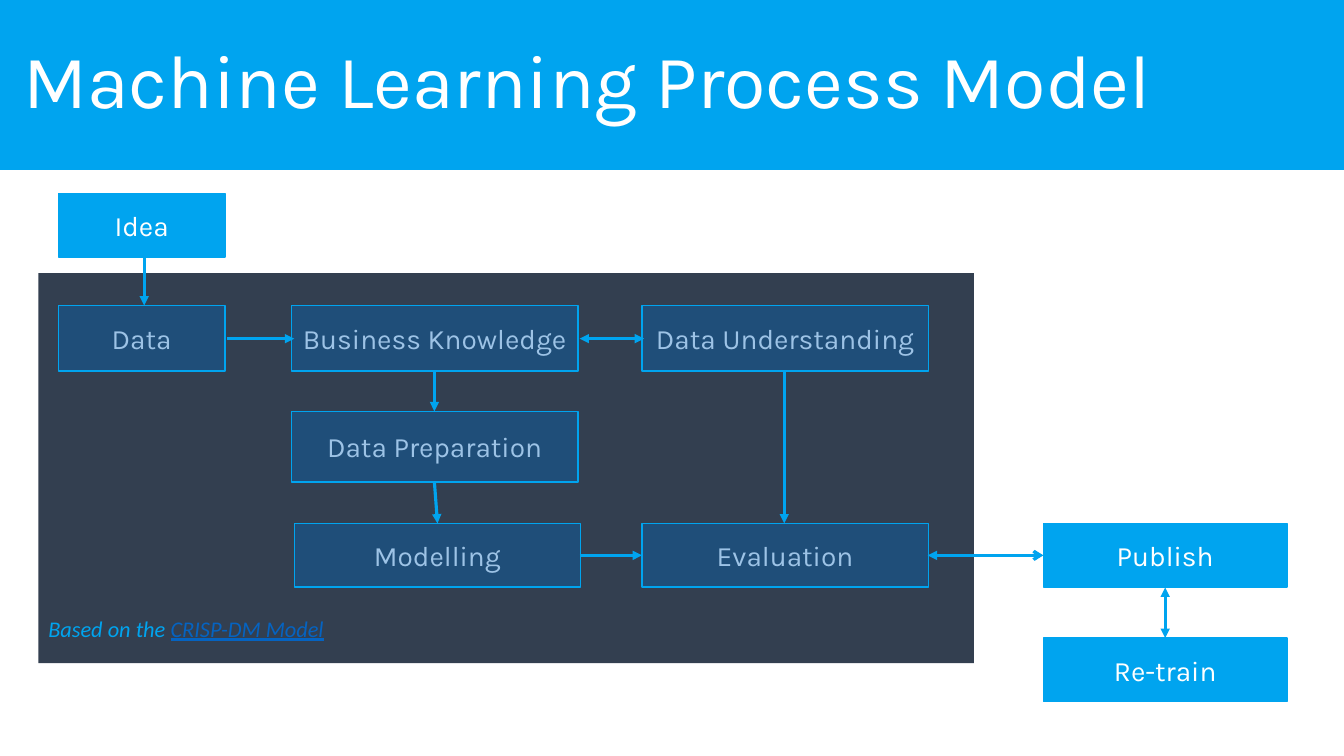
from dataclasses import dataclass

from lxml import etree
from pptx import Presentation
from pptx import util as u
from pptx.dml.color import RGBColor
from pptx.enum import shapes, text
from pptx.oxml import ns

BLUE, NAVY, SLATE = "00A4EF", "1F4E79", "333F50"
PALE, WHITE, LINK = "9DC3E6", "FFFFFF", "0563C1"

# Column left edges and widths, and row tops, in points
START, MIDDLE, RIGHT, OUTER = (41.8, 118.8), (208.3, 204.5), (458.6, 204.5), (745.2, 174.2)
MODELLING = (210.2, 204.5)
IDEA_TOP, DATA_TOP, PREPARATION_TOP, MODEL_TOP, RETRAIN_TOP = 138.2, 218.2, 293.8, 373.9, 455.8
LOW, TALL, TALLEST = 45.4, 46.8, 50.4
MODEL_Y, DATA_Y = 396.7, 241.9
START_X, MIDDLE_X, RIGHT_X, OUTER_X = 103, 310.3, 560.2, 832.3


@dataclass
class Step:
    label: str
    column: tuple[float, float]
    top: float
    height: float
    inside: bool = True


@dataclass
class Arrow:
    start: tuple[float, float]
    end: tuple[float, float]
    head: str = ""
    tail: str = "triangle"


STEPS = [
    Step("Idea", START, IDEA_TOP, LOW, inside=False),
    Step("Data", START, DATA_TOP, TALL),
    Step("Business Knowledge", MIDDLE, DATA_TOP, TALL),
    Step("Data Understanding", RIGHT, DATA_TOP, TALL),
    Step("Data Preparation", MIDDLE, PREPARATION_TOP, TALLEST),
    Step("Modelling", MODELLING, MODEL_TOP, LOW),
    Step("Evaluation", RIGHT, MODEL_TOP, LOW),
    Step("Publish", OUTER, MODEL_TOP, LOW, inside=False),
    Step("Re-train", OUTER, RETRAIN_TOP, LOW, inside=False),
]

ARROWS = [
    Arrow((START_X, 183.6), (START_X, DATA_TOP)),
    Arrow((162, DATA_Y), (210.2, DATA_Y)),
    Arrow((460.1, DATA_Y), (414, DATA_Y), head="triangle"),
    Arrow((MIDDLE_X, 265.3), (MIDDLE_X, PREPARATION_TOP)),
    Arrow((MIDDLE_X, 344.2), (312.5, MODEL_TOP)),
    Arrow((RIGHT_X, 265.3), (RIGHT_X, MODEL_TOP)),
    Arrow((414, MODEL_Y), (458.6, MODEL_Y)),
    Arrow((730.8, MODEL_Y), (745.2, MODEL_Y), tail="arrow"),
    Arrow((662.6, MODEL_Y), (745.2, MODEL_Y), head="triangle"),
    Arrow((OUTER_X, RETRAIN_TOP), (OUTER_X, 419.6), head="triangle"),
]


def color(value: str) -> RGBColor:
    return RGBColor.from_string(value)


def add_run(paragraph, content: str, ink: str, **font_values) -> None:
    run = paragraph.add_run()
    run.text = content
    run.font.color.rgb = color(ink)
    for name, value in font_values.items():
        setattr(run.font, name, value)


def add_rectangle(slide, left: float, top: float, width: float, height: float,
                  fill: str, outline: str):
    shape = slide.shapes.add_shape(
        shapes.MSO_SHAPE.RECTANGLE, u.Pt(left), u.Pt(top), u.Pt(width), u.Pt(height))
    shape.shadow.inherit = False
    shape.fill.solid()
    shape.fill.fore_color.rgb = color(fill)
    if outline:
        shape.line.color.rgb = color(outline)
        shape.line.width = u.Pt(1)
    else:
        shape.line.fill.background()
    return shape


def add_step(slide, step: Step) -> None:
    left, width = step.column
    fill, ink = (NAVY, PALE) if step.inside else (BLUE, WHITE)
    shape = add_rectangle(slide, left, step.top, width, step.height, fill, BLUE)
    frame = shape.text_frame
    frame.word_wrap = True
    frame.vertical_anchor = text.MSO_ANCHOR.MIDDLE
    paragraph = frame.paragraphs[0]
    paragraph.alignment = text.PP_ALIGN.CENTER
    add_run(paragraph, step.label, ink, name="Karla", size=u.Pt(20))


def add_arrow(slide, arrow: Arrow) -> None:
    points = [u.Pt(value) for value in (*arrow.start, *arrow.end)]
    connector = slide.shapes.add_connector(shapes.MSO_CONNECTOR.STRAIGHT, *points)
    connector.line.color.rgb = color(BLUE)
    connector.line.width = u.Pt(2.25)
    line = connector.line._get_or_add_ln()
    for tag, kind in (("a:headEnd", arrow.head), ("a:tailEnd", arrow.tail)):
        if kind:
            etree.SubElement(line, ns.qn(tag), type=kind)
    etree.SubElement(connector._element.spPr, ns.qn("a:effectLst"))


def add_text_box(slide, left: float, top: float, width: float, height: float):
    box = slide.shapes.add_textbox(u.Pt(left), u.Pt(top), u.Pt(width), u.Pt(height))
    box.text_frame.word_wrap = True
    return box.text_frame


def main() -> None:
    presentation = Presentation()
    presentation.slide_width, presentation.slide_height = u.Pt(960), u.Pt(540)
    slide = presentation.slides.add_slide(presentation.slide_layouts[6])

    add_rectangle(slide, 27.4, 195.1, 668.2, 278.6, SLATE, "")
    for step in STEPS:
        add_step(slide, step)

    add_rectangle(slide, 0, 0, 960, 121, BLUE, BLUE)
    title = add_text_box(slide, 9.4, 7.9, 828, 104.4)
    title.vertical_anchor = text.MSO_ANCHOR.MIDDLE
    title.paragraphs[0].line_spacing = 0.9
    add_run(title.paragraphs[0], "Machine Learning Process Model", WHITE,
            name="Karla", size=u.Pt(54))

    for arrow in ARROWS:
        add_arrow(slide, arrow)

    credit = add_text_box(slide, 27.4, 435.6, 217.4, 26.6).paragraphs[0]
    credit_font = {"name": "Calibri", "size": u.Pt(16), "italic": True}
    add_run(credit, "Based on the ", BLUE, **credit_font)
    add_run(credit, "CRISP-DM Model", LINK, underline=True, **credit_font)

    presentation.save("out.pptx")


if __name__ == "__main__":
    main()
